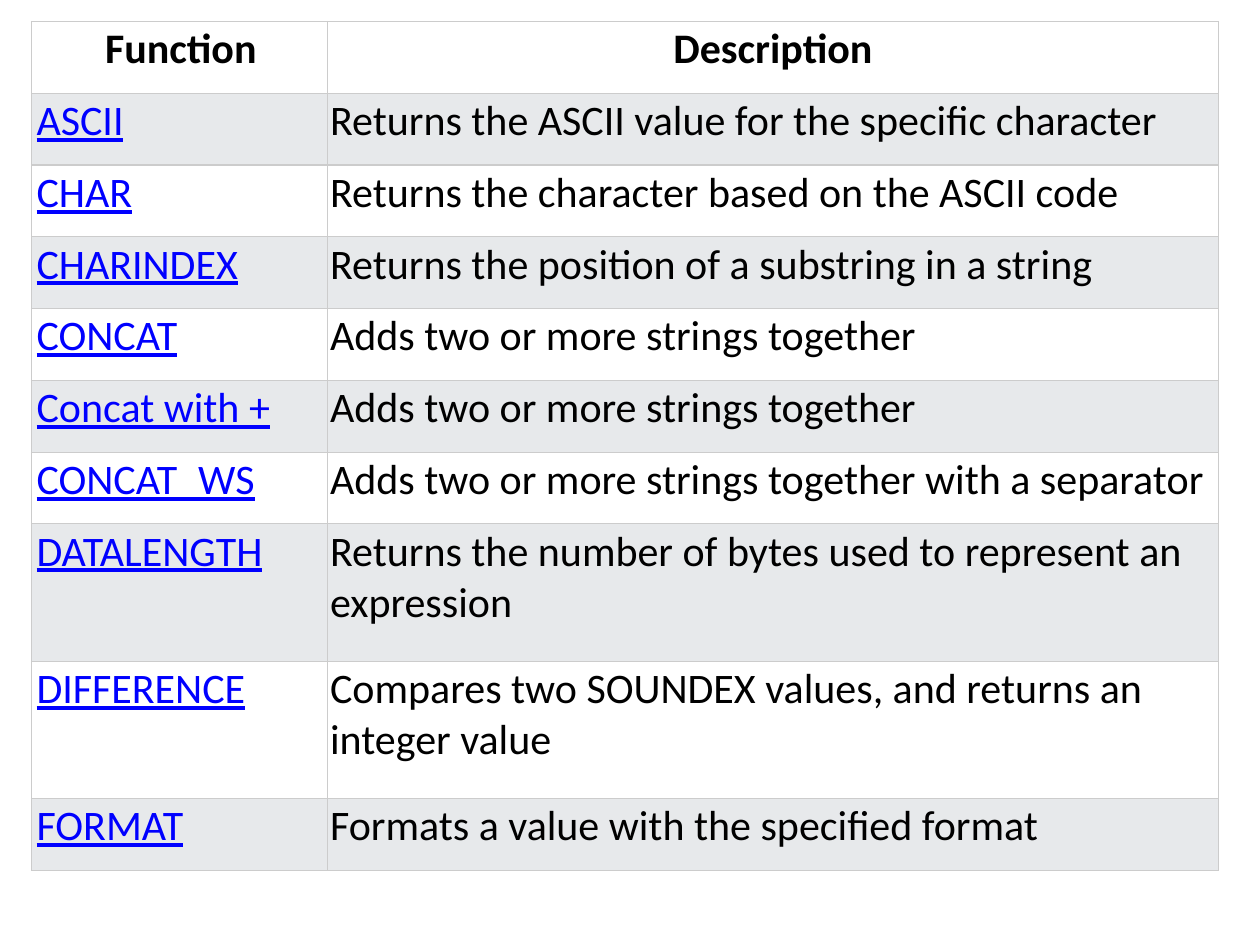
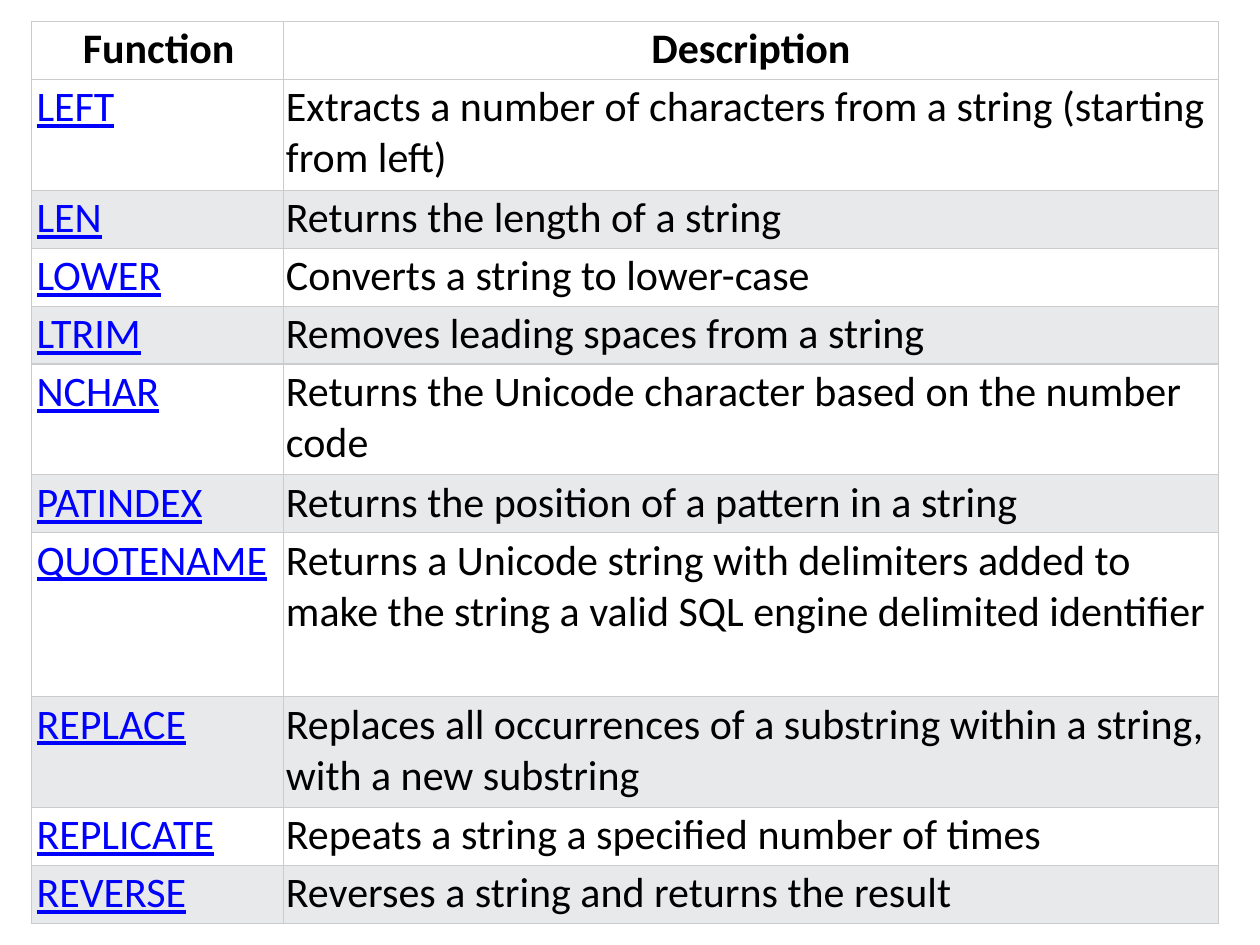
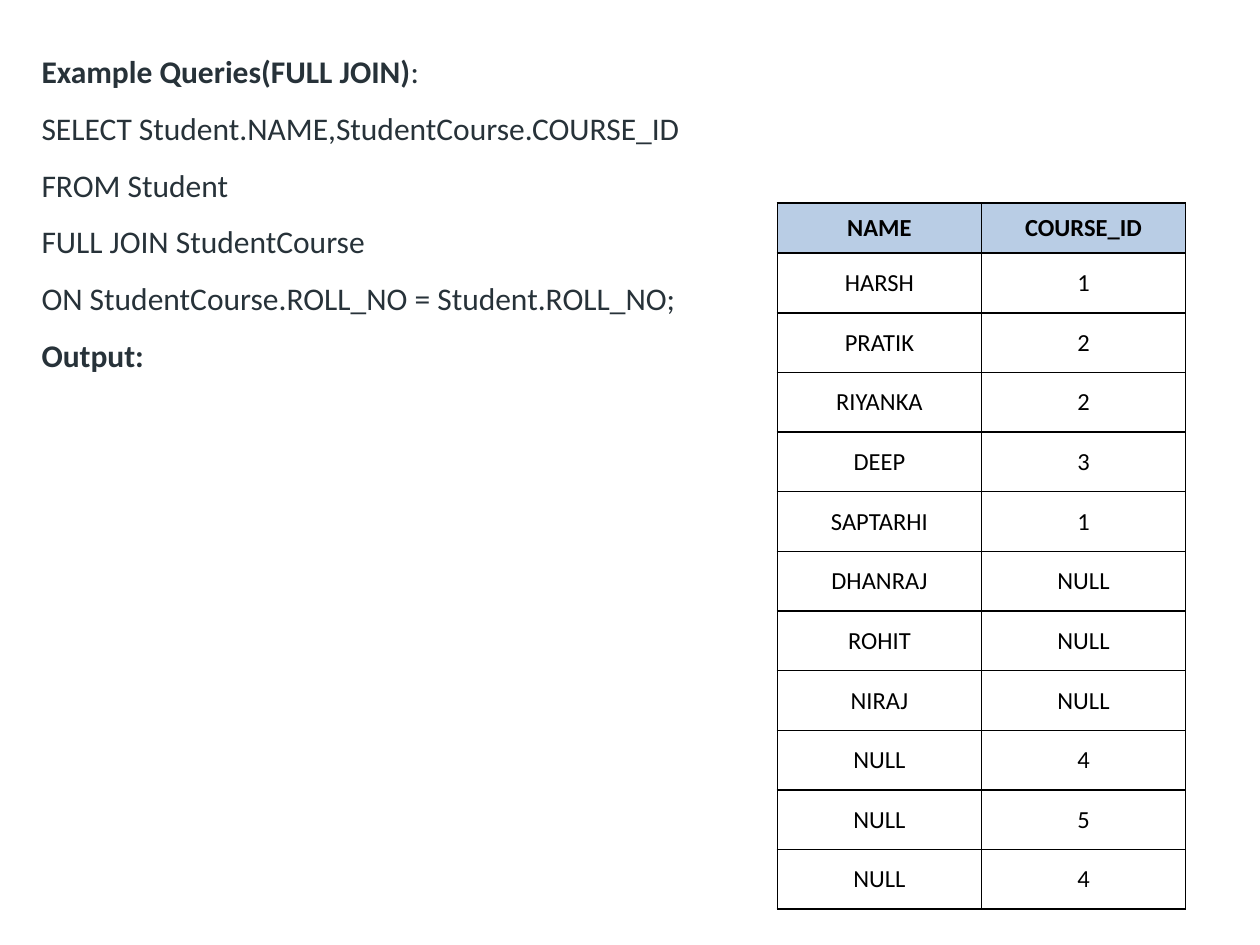
from lxml.etree import SubElement
from pptx import Presentation
from pptx.dml.color import RGBColor
from pptx.enum.shapes import MSO_SHAPE as Shape
from pptx.enum.text import MSO_ANCHOR as Anchor, MSO_AUTO_SIZE as AutoSize, PP_ALIGN as Align
from pptx.oxml.ns import qn
from pptx.util import Inches, Pt

# Shared style
FONT = "Calibri"
COLORS = {"white": "FFFFFF", "black": "000000", "stripe": "E7E9EB", "grid": "CCCCCC",
          "link": "0000FF", "ink": "273239", "header": "B9CDE5"}

# Content: function name, description, height in lines of the row
FUNCTION_HEADER = ("Function", "Description", 1)
FUNCTION_SLIDES = [
    {"widths": (2.35, 7.07), "heights": {1: 0.57, 2: 1.09}, "first_stripe": 1, "rows": [
        ("ASCII", "Returns the ASCII value for the specific character", 1),
        ("CHAR", "Returns the character based on the ASCII code", 1),
        ("CHARINDEX", "Returns the position of a substring in a string", 1),
        ("CONCAT", "Adds two or more strings together", 1),
        ("Concat with +", "Adds two or more strings together", 1),
        ("CONCAT_WS", "Adds two or more strings together with a separator", 1),
        ("DATALENGTH", "Returns the number of bytes used to represent an expression", 2),
        ("DIFFERENCE", "Compares two SOUNDEX values, and returns an integer value", 2),
        ("FORMAT", "Formats a value with the specified format", 1),
    ]},
    {"widths": (2, 7.42), "heights": {1: 0.46, 2: 0.88, 3: 1.3}, "first_stripe": 2, "rows": [
        ("LEFT", "Extracts a number of characters from a string (starting from left)", 2),
        ("LEN", "Returns the length of a string", 1),
        ("LOWER", "Converts a string to lower-case", 1),
        ("LTRIM", "Removes leading spaces from a string", 1),
        ("NCHAR", "Returns the Unicode character based on the number code", 2),
        ("PATINDEX", "Returns the position of a pattern in a string", 1),
        ("QUOTENAME", "Returns a Unicode string with delimiters added to make the string "
                      "a valid SQL engine delimited identifier", 3),
        ("REPLACE", "Replaces all occurrences of a substring within a string, "
                    "with a new substring", 2),
        ("REPLICATE", "Repeats a string a specified number of times", 1),
        ("REVERSE", "Reverses a string and returns the result", 1),
    ]},
]

# Each query line is a list of (text, bold) spans
QUERY_LINES = [
    [("Example Queries(FULL JOIN)", True), (":", False)],
    [("SELECT Student.NAME,StudentCourse.COURSE_ID", False)],
    [("FROM Student", False)],
    [("FULL JOIN StudentCourse", False)],
    [("ON StudentCourse.ROLL_NO = Student.ROLL_NO;", False)],
    [("Output:", True)],
]
JOIN_ROWS = [
    ("NAME", "COURSE_ID"), ("HARSH", "1"), ("PRATIK", "2"), ("RIYANKA", "2"),
    ("DEEP", "3"), ("SAPTARHI", "1"), ("DHANRAJ", "NULL"), ("ROHIT", "NULL"),
    ("NIRAJ", "NULL"), ("NULL", "4"), ("NULL", "5"), ("NULL", "4"),
]


def rgb(name):
    return RGBColor.from_string(COLORS[name])


def add_span(para, text, size=24, color="black", bold=False, underline=False):
    span = para.add_run()
    span.text = text
    font = span.font
    font.name, font.size, font.bold, font.underline = FONT, Pt(size), bold, underline
    font.color.rgb = rgb(color)


def set_margins(target, left, top, right, bottom):
    target.margin_left, target.margin_top = Inches(left), Inches(top)
    target.margin_right, target.margin_bottom = Inches(right), Inches(bottom)


def fill_cell(cell, text, fill, border, margins, align=Align.LEFT, anchor=Anchor.TOP, **style):
    color, width = border
    properties = cell._tc.get_or_add_tcPr()
    for side in ("lnL", "lnR", "lnT", "lnB"):
        line = SubElement(properties, qn(f"a:{side}"), w=str(Pt(width)))
        SubElement(SubElement(line, qn("a:solidFill")), qn("a:srgbClr"), val=COLORS[color])
    cell.fill.solid()
    cell.fill.fore_color.rgb = rgb(fill)
    cell.vertical_anchor = anchor
    set_margins(cell, *margins)
    para = cell.text_frame.paragraphs[0]
    para.alignment = align
    add_span(para, text, **style)


def add_grid(page, left, top, widths, heights):
    frame = page.shapes.add_table(len(heights), len(widths), Inches(left), Inches(top),
                                  Inches(sum(widths)), Inches(sum(heights)))
    table = frame.table
    table.first_row = table.horz_banding = False
    for column, width in zip(table.columns, widths):
        column.width = Inches(width)
    for row, height in zip(table.rows, heights):
        row.height = Inches(height)
    return table


def add_function_slide(page, widths, heights, first_stripe, rows):
    rows = [FUNCTION_HEADER, *rows]
    table = add_grid(page, 0.25, 0.17, widths, [heights[lines] for *_, lines in rows])
    for r, (*texts, _) in enumerate(rows):
        head = r == 0
        striped = not head and (r - first_stripe) % 2 == 0
        for c, text in enumerate(texts):
            link = c == 0 and not head
            fill_cell(table.cell(r, c), text, "stripe" if striped else "white", ("grid", 0.75),
                      (0.02 if c else 0.04, 0.02, 0.02, 0.02),
                      align=Align.CENTER if head else Align.LEFT,
                      color="link" if link else "black", bold=head, underline=link)


def add_join_slide(page):
    # Query text
    box = page.shapes.add_shape(Shape.RECTANGLE, Inches(0.33), Inches(0.25),
                                Inches(9.33), Inches(2.73))
    box.shadow.inherit = False
    box.fill.solid()
    box.fill.fore_color.rgb = rgb("white")
    box.line.fill.background()
    frame = box.text_frame
    frame.word_wrap = True
    frame.auto_size = AutoSize.SHAPE_TO_FIT_TEXT
    frame.vertical_anchor = Anchor.MIDDLE
    set_margins(frame, 0, 0, 0, 0)
    for i, spans in enumerate(QUERY_LINES):
        para = frame.add_paragraph() if i else frame.paragraphs[0]
        para.alignment = Align.LEFT
        para.line_spacing = 1.5
        for text, bold in spans:
            add_span(para, text, size=18, color="ink", bold=bold)

    # Query result
    heights = [0.4] + [0.47] * (len(JOIN_ROWS) - 1)
    table = add_grid(page, 6.17, 1.61, (1.62, 1.62), heights)
    for r, texts in enumerate(JOIN_ROWS):
        head = r == 0
        pad = 0.08 if head else 0.12
        for c, text in enumerate(texts):
            fill_cell(table.cell(r, c), text, "header" if head else "white", ("black", 1),
                      (0.09, pad, 0.09, pad), align=Align.CENTER, anchor=Anchor.MIDDLE,
                      size=14, bold=head)


def main():
    deck = Presentation()
    deck.slide_width, deck.slide_height = Inches(10), Inches(7.5)
    blank = deck.slide_layouts[6]
    for content in FUNCTION_SLIDES:
        add_function_slide(deck.slides.add_slide(blank), **content)
    add_join_slide(deck.slides.add_slide(blank))
    deck.save("out.pptx")


if __name__ == "__main__":
    main()
